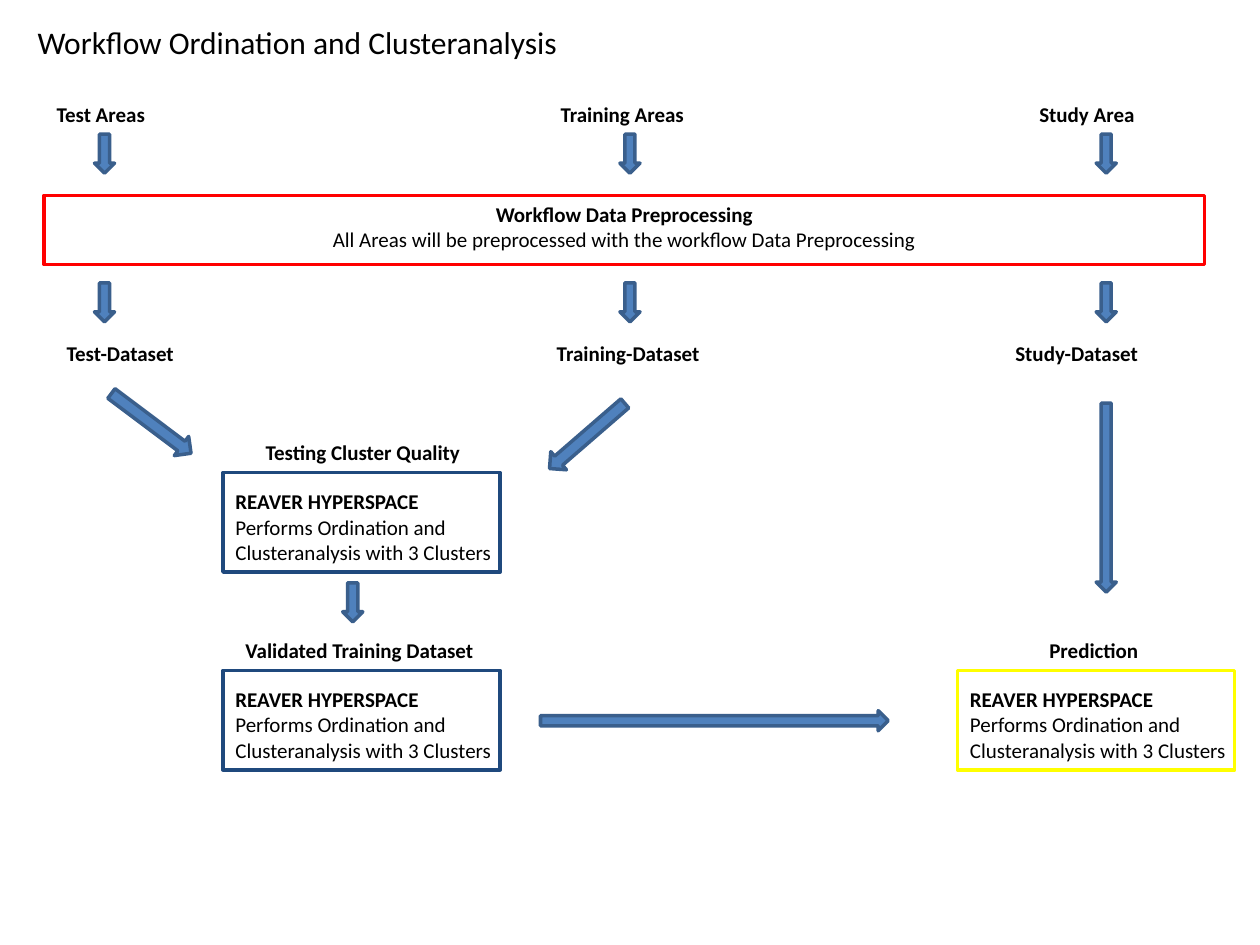
from dataclasses import dataclass

from pptx import Presentation
from pptx.dml.color import RGBColor
from pptx.enum.shapes import MSO_SHAPE
from pptx.enum.text import MSO_ANCHOR, PP_ALIGN
from pptx.util import Inches, Pt

RECTANGLE = MSO_SHAPE.RECTANGLE
DOWN_ARROW = MSO_SHAPE.DOWN_ARROW
LEFT, CENTER = PP_ALIGN.LEFT, PP_ALIGN.CENTER
TOP = MSO_ANCHOR.TOP

LANES = {"test": 0.83, "cluster": 2.8, "training": 5.0, "study": 8.78}
BOX_LEFT = {"cluster": 1.77, "study": 7.6}
ROWS = {
    "title": 0.13, "areas": 0.76, "preprocessing": 1.55, "datasets": 2.65,
    "testing": 3.75, "validated": 5.32,
}
CAPTION_RISE = 0.31
BOX_SIZE = (2.2, 0.79)
ARROW_WIDTH, ARROW_LENGTH = 0.16, 0.31


@dataclass(frozen=True)
class Theme:
    """Colours, font and type sizes of the slide."""
    font: str = "Calibri"
    text: str = "000000"
    arrow: str = "4F81BD"
    arrow_edge: str = "3A5F8C"
    preprocessing: str = "FF0000"
    cluster: str = "1F497D"
    prediction: str = "FFFF00"
    title_size: int = 18
    body_size: int = 12
    line_width: int = 2


THEME = Theme()


def write(frame, lines, size=THEME.body_size, align=LEFT, **margins):
    """Fill a text frame with (text, bold) lines."""
    settings = {"word_wrap": True, "vertical_anchor": TOP}
    settings.update({f"margin_{side}": Inches(gap) for side, gap in margins.items()})
    for name, value in settings.items():
        setattr(frame, name, value)
    for index, (text, bold) in enumerate(lines):
        para = frame.paragraphs[0] if index == 0 else frame.add_paragraph()
        para.alignment = align
        span = para.add_run()
        span.text = text
        for name, value in {"name": THEME.font, "size": Pt(size), "bold": bold}.items():
            setattr(span.font, name, value)
        span.font.color.rgb = RGBColor.from_string(THEME.text)


def add_label(page, text, left, top, width=1.75, size=THEME.body_size, bold=True):
    """Place one line of free text."""
    box = page.shapes.add_textbox(*map(Inches, (left, top, width, size / 40)))
    write(box.text_frame, [(text, bold)], size)


def add_outlined(page, kind, place, edge, fill=None):
    """Draw a preset shape with an edge and an optional fill."""
    shape = page.shapes.add_shape(kind, *map(Inches, place))
    shape.shadow.inherit = False
    shape.line.color.rgb = RGBColor.from_string(edge)
    shape.line.width = Pt(THEME.line_width)
    if fill:
        shape.fill.solid()
        shape.fill.fore_color.rgb = RGBColor.from_string(fill)
    else:
        shape.fill.background()
    return shape


def add_arrow(page, center, middle, length=ARROW_LENGTH, width=ARROW_WIDTH, turn=0):
    """Draw a block arrow about its centre, turned from pointing down."""
    place = (center - width / 2, middle - length / 2, width, length)
    arrow = add_outlined(page, DOWN_ARROW, place, THEME.arrow_edge, THEME.arrow)
    arrow.rotation = turn


def add_process(page, lane, row, caption, caption_left, edge):
    """Draw a captioned cluster analysis step."""
    top = ROWS[row]
    box = add_outlined(page, RECTANGLE, (BOX_LEFT[lane], top, *BOX_SIZE), edge)
    lines = [
        ("REAVER HYPERSPACE", True),
        ("Performs Ordination and Clusteranalysis with 3 Clusters", False),
    ]
    write(box.text_frame, lines, top=0.13, right=0)
    add_label(page, caption, caption_left, top - CAPTION_RISE, 2.2)


def add_preprocessing(page):
    """Draw the wide preprocessing step shared by all lanes."""
    place = (0.35, ROWS["preprocessing"], 9.21, 0.55)
    box = add_outlined(page, RECTANGLE, place, THEME.preprocessing)
    lines = [
        ("Workflow Data Preprocessing", True),
        ("All Areas will be preprocessed with the workflow Data Preprocessing", False),
    ]
    write(box.text_frame, lines, align=CENTER)


def main():
    """Build the workflow slide and save it."""
    deck = Presentation()
    deck.slide_width, deck.slide_height = Inches(10), Inches(7.5)
    page = deck.slides.add_slide(deck.slide_layouts[6])

    add_label(page, "Workflow Ordination and Clusteranalysis", 0.2, ROWS["title"],
              4.8, THEME.title_size, False)
    add_preprocessing(page)

    headings = {
        "areas": [("Test Areas", 0.35), ("Training Areas", 4.35), ("Study Area", 8.15)],
        "datasets": [("Test-Dataset", 0.43), ("Training-Dataset", 4.32),
                     ("Study-Dataset", 7.96)],
    }
    for row, labels in headings.items():
        for text, left in labels:
            add_label(page, text, left, ROWS[row])

    for middle in (1.22, 2.4):
        for lane in ("test", "training", "study"):
            add_arrow(page, LANES[lane], middle)
    add_arrow(page, LANES["cluster"], 4.78)
    add_arrow(page, LANES["study"], 3.95, length=1.5)
    add_arrow(page, 5.67, 5.72, length=2.76, turn=270)
    add_arrow(page, 1.2, 3.36, length=0.79, width=0.19, turn=306.9)
    add_arrow(page, 4.66, 3.46, length=0.79, width=0.19, turn=49.1)

    for step in (
        ("cluster", "testing", "Testing Cluster Quality", 2.01, THEME.cluster),
        ("cluster", "validated", "Validated Training Dataset", 1.85, THEME.cluster),
        ("study", "validated", "Prediction", 8.23, THEME.prediction),
    ):
        add_process(page, *step)

    deck.save("out.pptx")


main()
